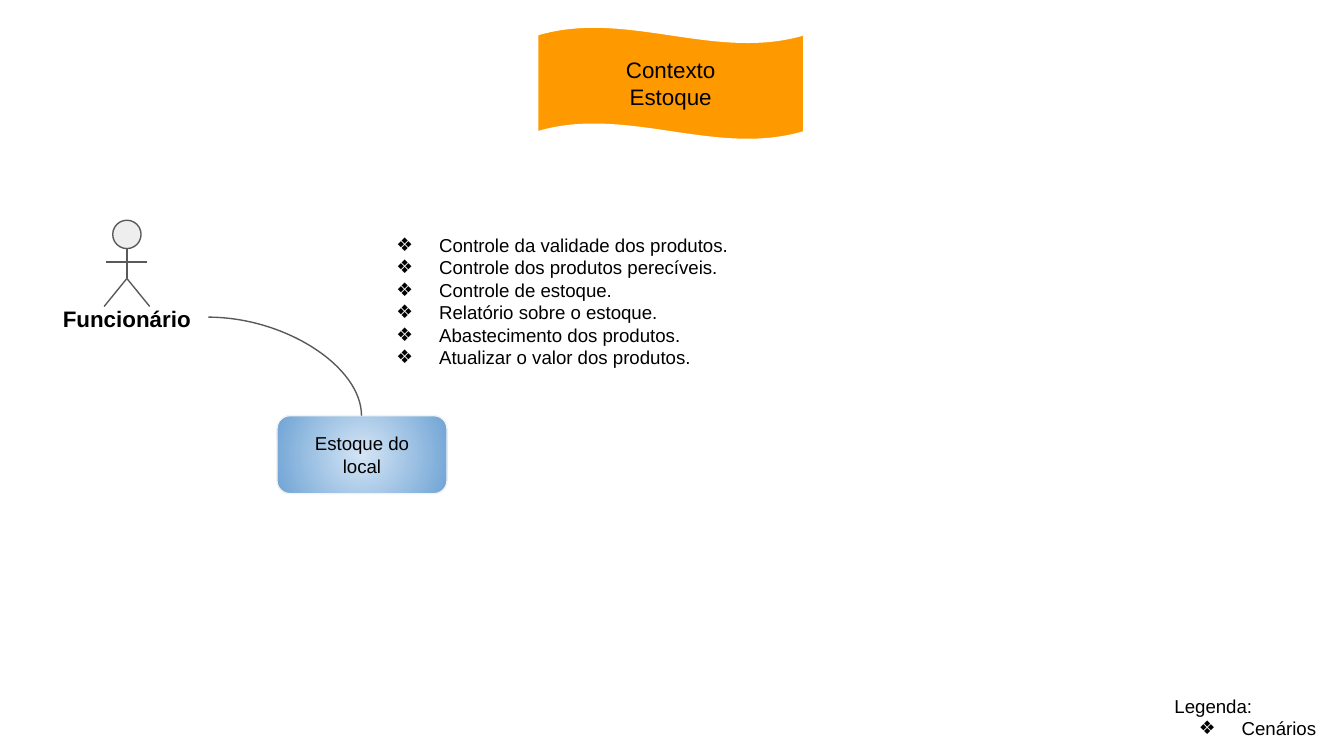
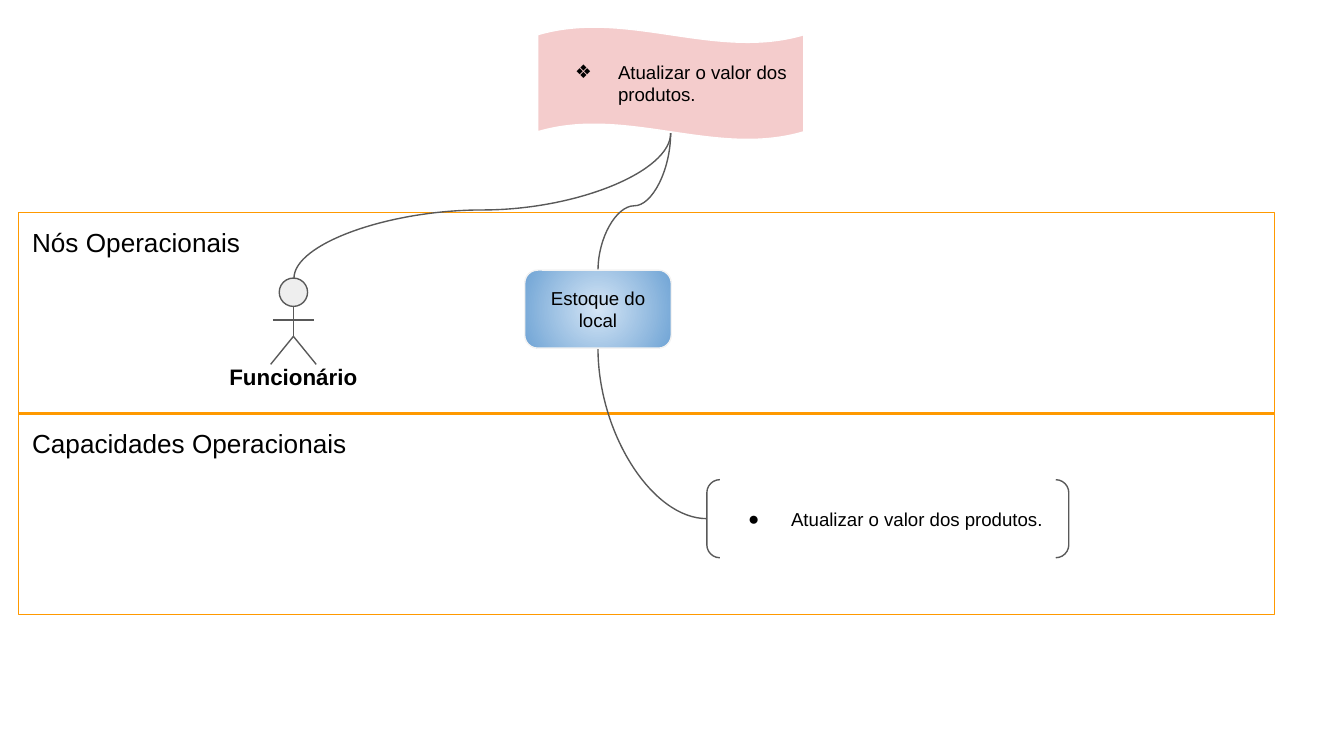
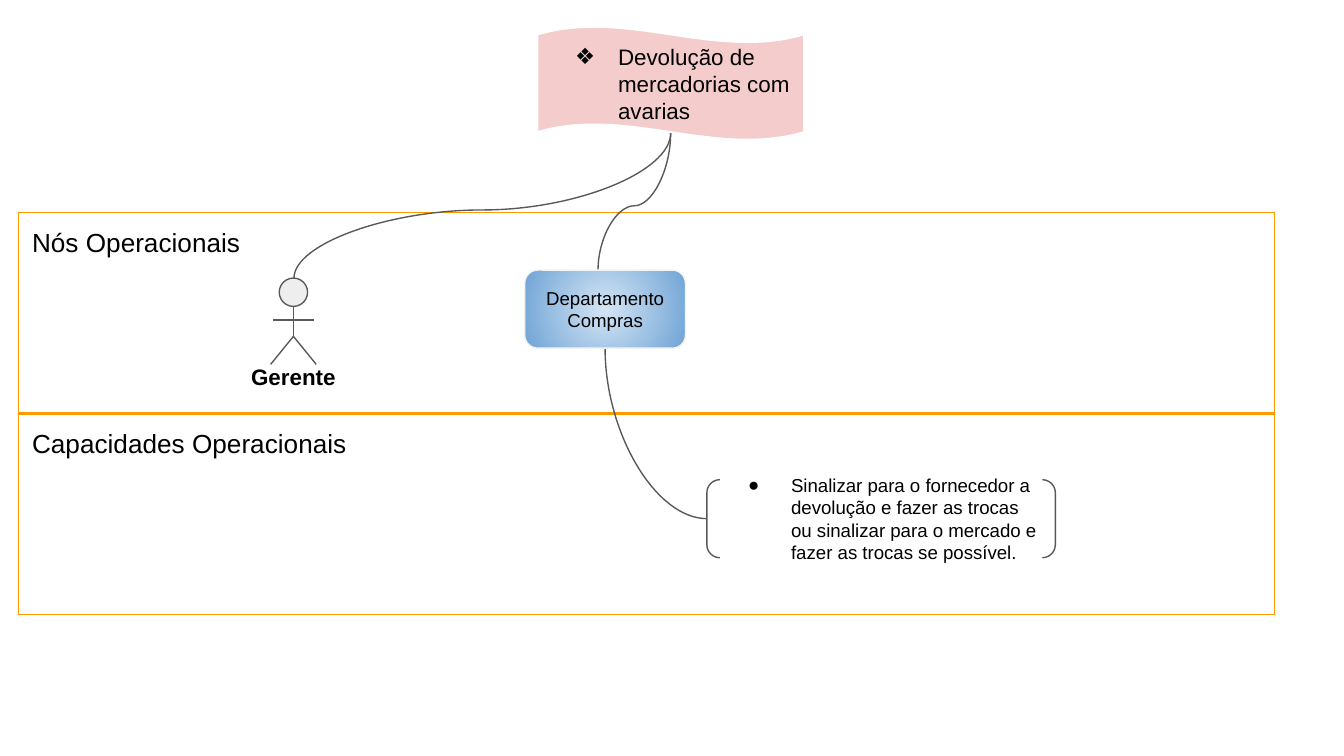
from dataclasses import dataclass

from lxml.etree import SubElement
from pptx import Presentation
from pptx.dml.color import RGBColor
from pptx.enum.shapes import MSO_CONNECTOR, MSO_SHAPE
from pptx.enum.text import MSO_ANCHOR, PP_ALIGN
from pptx.oxml.ns import qn
from pptx.util import Pt


@dataclass(frozen=True)
class Theme:
    font: str = "Arial"
    text: str = "000000"
    orange: str = "FF9900"
    pink: str = "F4CCCC"
    white: str = "FFFFFF"
    stroke: str = "595959"
    head: str = "EEEEEE"
    node_center: str = "D4E5F5"
    node_edge: str = "70A4D5"
    node_line: str = "F3F3F3"
    small: float = 10
    medium: float = 12
    large: float = 14
    line_width: float = 0.75
    inset: float = 7.2


DIAMOND = "❖"
DOT = "●"
NODE_HEIGHT = 41.8
NODE_TOP = 144.7
NODE_LEFT = 281.1
FLAG_FOOT = (359.3, 71.3)
BRACKET_LEFT, BRACKET_TOP = 378.7, 257


class Board:
    def __init__(self, deck, theme):
        self.deck = deck
        self.theme = theme
        self.page = None

    def new_page(self):
        self.page = self.deck.slides.add_slide(self.deck.slide_layouts[6])

    def fill_text(self, box, lines, size, bullet=None, first_bullet=0,
                  align=PP_ALIGN.LEFT, anchor=MSO_ANCHOR.TOP, bold=False):
        """Set the lines of a box, with bullets from line first_bullet on."""
        frame = box.text_frame
        frame.word_wrap = True
        frame.vertical_anchor = anchor
        frame.margin_left = frame.margin_right = Pt(self.theme.inset)
        frame.margin_top = frame.margin_bottom = Pt(self.theme.inset)
        for index, line in enumerate(lines):
            para = frame.add_paragraph() if index else frame.paragraphs[0]
            para.text = line
            para.alignment = align
            if bullet and index >= first_bullet:
                self.add_bullet(para, bullet)
            para.font.name = self.theme.font
            para.font.size = Pt(size)
            para.font.bold = bold
            para.font.color.rgb = RGBColor.from_string(self.theme.text)

    def add_bullet(self, para, bullet):
        properties = para._p.get_or_add_pPr()
        properties.set("marL", str(Pt(36)))
        properties.set("indent", str(Pt(-23)))
        color = SubElement(properties, qn("a:buClr"))
        SubElement(color, qn("a:srgbClr"), val=self.theme.text)
        SubElement(properties, qn("a:buFont"), typeface=self.theme.font)
        SubElement(properties, qn("a:buChar"), char=bullet)

    def set_line(self, item, color):
        item.line.color.rgb = RGBColor.from_string(color)
        item.line.width = Pt(self.theme.line_width)

    def shape(self, kind, left, top, width, height, line, fill=None, parent=None):
        shapes = (parent or self.page).shapes
        box = shapes.add_shape(kind, Pt(left), Pt(top), Pt(width), Pt(height))
        box.shadow.inherit = False
        if fill:
            box.fill.solid()
            box.fill.fore_color.rgb = RGBColor.from_string(fill)
        else:
            box.fill.background()
        self.set_line(box, line)
        return box

    def text(self, left, top, width, height, lines, size, parent=None, **style):
        shapes = (parent or self.page).shapes
        box = shapes.add_textbox(Pt(left), Pt(top), Pt(width), Pt(height))
        self.fill_text(box, lines, size, **style)

    def connector(self, kind, start, end, parent=None):
        shapes = (parent or self.page).shapes
        link = shapes.add_connector(kind, *(Pt(value) for value in (*start, *end)))
        self.set_line(link, self.theme.stroke)
        SubElement(link._element.spPr, qn("a:effectLst"))
        return link

    def curve(self, start, end, upright=True, bend=None):
        """Curve to the right; upright leaves vertically, bend gives an S shape."""
        (x1, y1), (x2, y2) = start, end
        width, height = x2 - x1, abs(y2 - y1)
        if upright:
            width, height = height, width
        left, top = (x1 + x2 - width) / 2, (y1 + y2 - height) / 2
        link = self.connector(MSO_CONNECTOR.CURVE, (left, top),
                              (left + width, top + height))
        properties = link._element.spPr
        if upright:
            frame = properties.find(qn("a:xfrm"))
            frame.set("rot", str(270 * 60000))
            if y2 > y1:
                frame.set("flipH", "1")
        geometry = properties.find(qn("a:prstGeom"))
        if bend is None:
            geometry.set("prst", "curvedConnector2")
        else:
            guides = geometry.find(qn("a:avLst"))
            if guides is None:
                guides = SubElement(geometry, qn("a:avLst"))
            SubElement(guides, qn("a:gd"), name="adj1",
                       fmla=f"val {round(bend * 100000)}")

    def flag(self, fill, lines, size, **style):
        box = self.shape(MSO_SHAPE.WAVE, 288, 14.4, 142.6, 60.5, self.theme.white, fill)
        box.adjustments[0] = 0.07
        box.adjustments[1] = 0
        self.fill_text(box, lines, size, anchor=MSO_ANCHOR.MIDDLE, **style)

    def node(self, left, top, width, label):
        theme = self.theme
        box = self.shape(MSO_SHAPE.ROUNDED_RECTANGLE, left, top, width, NODE_HEIGHT,
                         theme.node_line)
        box.fill.gradient()
        for stop, color in zip(box.fill.gradient_stops,
                               (theme.node_center, theme.node_edge)):
            stop.color.rgb = RGBColor.from_string(color)
        gradient = box._element.spPr.find(qn("a:gradFill"))
        gradient.remove(gradient.find(qn("a:lin")))
        radial = SubElement(gradient, qn("a:path"), {"path": "circle"})
        SubElement(radial, qn("a:fillToRect"), l="50000", t="50000", r="50000", b="50000")
        self.fill_text(box, [label], theme.small, align=PP_ALIGN.CENTER,
                       anchor=MSO_ANCHOR.MIDDLE)

    def actor(self, center, top, name, label_width):
        group = self.page.shapes.add_group_shape()
        self.shape(MSO_SHAPE.FLOWCHART_CONNECTOR, center - 7.6, top, 15.2, 15.2,
                   self.theme.stroke, self.theme.head, group)
        neck, arms, hips, feet = (top + drop for drop in (15.2, 22.4, 31.2, 46.2))
        limbs = [
            ((center, neck), (center, hips)),
            ((center - 11, arms), (center + 11, arms)),
            ((center, hips), (center - 12.2, feet)),
            ((center, hips), (center + 12.2, feet)),
        ]
        for start, end in limbs:
            self.connector(MSO_CONNECTOR.STRAIGHT, start, end, group)
        self.text(center - label_width / 2, top + 38.2, label_width, 26.6, [name],
                  self.theme.medium, group, align=PP_ALIGN.CENTER, bold=True)

    def panel(self, top, title):
        box = self.shape(MSO_SHAPE.RECTANGLE, 10.1, top, 672.6, 107.4, self.theme.orange)
        self.fill_text(box, [title], self.theme.large)

    def bracket(self, width, capability):
        box = self.shape(MSO_SHAPE.DOUBLE_BRACKET, BRACKET_LEFT, BRACKET_TOP, width,
                         NODE_HEIGHT, self.theme.stroke)
        self.fill_text(box, [capability], self.theme.small, DOT,
                       anchor=MSO_ANCHOR.MIDDLE)


def add_context(board):
    theme = board.theme
    board.new_page()
    board.flag(theme.orange, ["Contexto", "Estoque"], theme.medium,
               align=PP_ALIGN.CENTER)
    board.node(148.4, 222.7, 91.1, "Estoque do local")
    board.actor(68, 118, "Funcionário", 88)
    board.curve((111.6, 169.9), (193.7, 222.7), upright=False)
    scenarios = [
        "Controle da validade dos produtos.",
        "Controle dos produtos perecíveis.",
        "Controle de estoque.",
        "Relatório sobre o estoque.",
        "Abastecimento dos produtos.",
        "Atualizar o valor dos produtos.",
    ]
    board.text(192.2, 118.1, 239, 90, scenarios, theme.small, bullet=DIAMOND)
    board.text(622.1, 365, 92.9, 37.4, ["Legenda:", "Cenários"], theme.small,
               bullet=DIAMOND, first_bullet=1)


def add_scenario(board, scenario, size, actor, label_width, node, node_width,
                 capability, bracket_width):
    board.new_page()
    for row, title in enumerate(["Nós Operacionais", "Capacidades Operacionais"]):
        board.panel(113.8 + 108 * row, title)
    board.flag(board.theme.pink, [scenario], size, bullet=DIAMOND)
    board.actor(157.2, 149, actor, label_width)
    for top_end in [(157.5, 149), (320.4, NODE_TOP)]:
        board.curve(top_end, FLAG_FOOT, bend=0.47)
    board.curve((NODE_LEFT + node_width / 2, NODE_TOP + NODE_HEIGHT),
                (BRACKET_LEFT, BRACKET_TOP + NODE_HEIGHT / 2))
    board.bracket(bracket_width, capability)
    board.node(NODE_LEFT, NODE_TOP, node_width, node)


def main():
    deck = Presentation()
    deck.slide_width, deck.slide_height = Pt(720), Pt(405)
    theme = Theme()
    board = Board(deck, theme)
    add_context(board)
    add_scenario(board, "Atualizar o valor dos produtos.", theme.small,
                 "Funcionário", 89, "Estoque do local", 78.5,
                 "Atualizar o valor dos produtos.", 193.9)
    add_scenario(board, "Devolução de mercadorias com avarias", theme.medium,
                 "Gerente", 81, "Departamento Compras", 86.1,
                 "Sinalizar para o fornecedor a devolução e fazer as trocas ou "
                 "sinalizar para o mercado e fazer as trocas se possível.", 186.7)
    deck.save("out.pptx")


if __name__ == "__main__":
    main()
